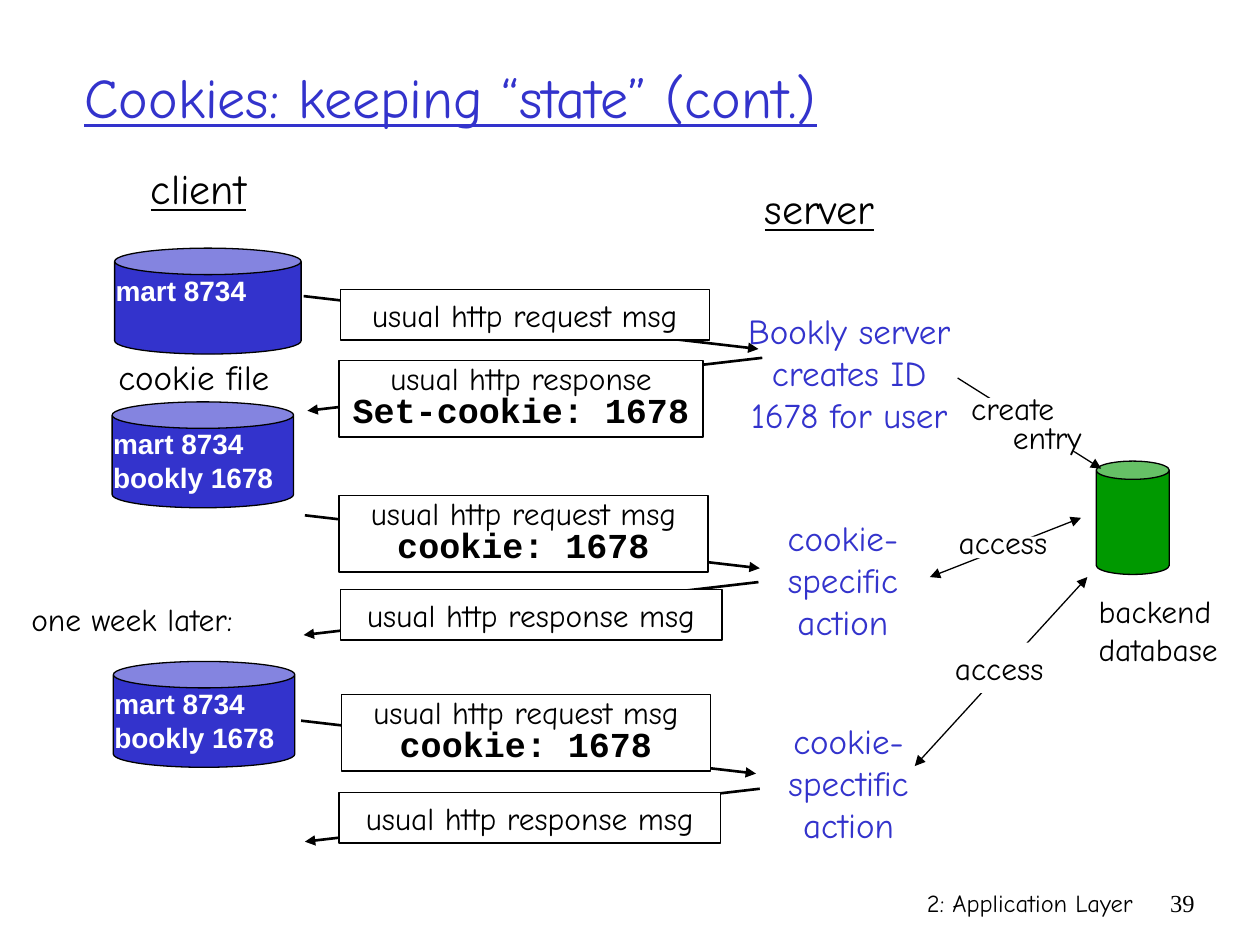
from pptx import Presentation
from pptx.dml.color import RGBColor
from pptx.enum.shapes import MSO_CONNECTOR, MSO_SHAPE
from pptx.enum.text import MSO_ANCHOR, MSO_AUTO_SIZE, PP_ALIGN
from pptx.oxml.ns import qn
from pptx.util import Inches, Pt
from lxml.etree import SubElement

HAND, CODE, LABEL = "Comic Neue", "Courier New", "Arial"
BLACK, WHITE, BLUE, GREEN = "000000", "FFFFFF", "3333CC", "009900"
LEFT, CENTER, RIGHT = PP_ALIGN.LEFT, PP_ALIGN.CENTER, PP_ALIGN.RIGHT
color = RGBColor.from_string

presentation = Presentation()
presentation.slide_width, presentation.slide_height = Inches(10), Inches(7.5)
slide = presentation.slides.add_slide(presentation.slide_layouts[5])
COLUMN = presentation.slide_width / 100
ROW = presentation.slide_height / 75


def add_block(x, y, width, height, lines=(), size=18, font=HAND, ink=BLACK, align=LEFT,
              bold=False, underline=False, spacing=None, wrap=False,
              preset=None, fill=None, outline=None):
    """Add a text box, or a preset shape; a line is a text or (text, size, font, bold)."""
    box = [int(x * COLUMN), int(y * ROW), int(width * COLUMN), int(height * ROW)]
    if preset is None:
        shape = slide.shapes.add_textbox(*box)
    else:
        shape = slide.shapes.add_shape(preset, *box)
        shape.shadow.inherit = False
    if fill:
        shape.fill.solid()
        shape.fill.fore_color.rgb = color(fill)
    if outline:
        shape.line.color.rgb = color(outline)
        shape.line.width = Pt(0.75)
    else:
        shape.line.fill.background()
    frame = shape.text_frame
    frame.word_wrap = wrap
    frame.vertical_anchor = MSO_ANCHOR.TOP
    if lines and not wrap:
        frame.auto_size = MSO_AUTO_SIZE.SHAPE_TO_FIT_TEXT
    for index, line in enumerate(lines):
        text, line_size, line_font, line_bold = (
            (line, size, font, bold) if isinstance(line, str) else line)
        paragraph = frame.add_paragraph() if index else frame.paragraphs[0]
        paragraph.alignment = align
        paragraph.line_spacing = spacing
        run = paragraph.add_run()
        run.text = text
        run.font.name, run.font.size = line_font, Pt(line_size)
        run.font.bold, run.font.underline = line_bold, underline
        run.font.color.rgb = color(ink)
    return shape


def add_arrow(x1, y1, x2, y2, width=1.5, ends=("tailEnd",)):
    arrow = slide.shapes.add_connector(
        MSO_CONNECTOR.STRAIGHT, int(x1 * COLUMN), int(y1 * ROW), int(x2 * COLUMN), int(y2 * ROW))
    arrow.line.color.rgb = color(BLACK)
    arrow.line.width = Pt(width)
    for end in ends:
        SubElement(arrow.line._get_or_add_ln(), qn("a:" + end), type="triangle")
    SubElement(arrow._element.spPr, qn("a:effectLst"))


# Title, column headings and footer
title = slide.shapes.title
title.left, title.top = int(5.7 * COLUMN), int(1.4 * ROW)
title.width, title.height = int(85 * COLUMN), int(12.5 * ROW)
title.text_frame.auto_size = MSO_AUTO_SIZE.NONE
title.text_frame.vertical_anchor = MSO_ANCHOR.MIDDLE
heading = title.text_frame.paragraphs[0]
heading.alignment = LEFT
run = heading.add_run()
run.text = "Cookies: keeping “state” (cont.)"
run.font.name, run.font.size, run.font.underline = HAND, Pt(32), True
run.font.color.rgb = color(BLUE)

add_block(10.8, 12.4, 9.9, 5, ["client"], 24, align=CENTER, underline=True)
add_block(59.6, 14, 10.9, 5, ["server"], 24, align=CENTER, underline=True)
add_block(59.2, 70, 31.7, 5, ["2: Application Layer"], 14, align=RIGHT, wrap=True)
add_block(90.8, 70, 5, 5, ["39"], 14, "Times New Roman", align=RIGHT, wrap=True)

# Messages: every arrow spans the same run and falls by the same amount
RUN, FALL = 36.1, 4.2
request, response = "usual http request msg", "usual http response msg"
set_cookie = ("Set-cookie: 1678", 20, CODE, True)
send_cookie = ("cookie: 1678", 20, CODE, True)
messages = [  # arrow start, direction, box, lines
    (24.1, 23.5, 1, (27, 23, 29.3), [request]),
    (60.5, 28.4, -1, (26.9, 28.6, 28.9), ["usual http response", set_cookie]),
    (24.2, 40.9, 1, (26.9, 39.3, 29.3), [request, send_cookie]),
    (60.2, 46.2, -1, (27, 46.8, 30.3), [response]),
    (23.9, 57.2, 1, (27.1, 55.1, 29.3), [request, send_cookie]),
    (60.3, 62.6, -1, (26.9, 62.9, 30.3), [response]),
]
for x, y, direction, box, lines in messages:
    add_arrow(x, y, x + direction * RUN, y + FALL)
for x, y, direction, (left, top, width), lines in messages:
    double = len(lines) == 2
    add_block(left, top, width, 6.1 if double else 4, lines, align=CENTER, wrap=True,
              spacing=0.8 if double else None,
              preset=MSO_SHAPE.RECTANGLE, fill=WHITE, outline=BLACK)

# Client cookie files
for x, y, width, entries in [
    (9.1, 19.7, 14.8, ["mart 8734"]),
    (8.9, 31.9, 14.4, ["mart 8734", "bookly 1678"]),
    (9, 52.5, 14.4, ["mart 8734", "bookly 1678"]),
]:
    add_block(x, y, width, 8.4, preset=MSO_SHAPE.CAN, fill=BLUE, outline=BLACK)
    add_block(x - 0.9, y + 1.5, 17.4, 6.4, entries, 16, LABEL, WHITE, bold=True, wrap=True)
add_block(8.4, 27.7, 19.5, 4.4, ["cookie file"], 20, wrap=True)
add_block(1.5, 47.1, 18.1, 4, ["one week later:"])

# Server actions
for x, y, width, lines in [
    (57.5, 24.1, 19.8, ["Bookly server", "creates ID", "1678 for user"]),
    (61.3, 40.5, 11.2, ["cookie-", "specific", "action"]),
    (61.3, 56.6, 12.1, ["cookie-", "spectific", "action"]),
]:
    add_block(x, y, width, 11, lines, 20, ink=BLUE, align=CENTER)

# Backend database and its links, with white patches behind the link labels
add_block(87, 36.6, 5.8, 9, preset=MSO_SHAPE.CAN, fill=GREEN, outline=BLACK)
add_arrow(76, 30, 87.4, 37.2, 0.75)
for link in [(73.8, 45.8, 85.8, 41.1), (72.6, 60.8, 86.3, 45.8)]:
    add_arrow(*link, 0.75, ("headEnd", "tailEnd"))
for patch in [(77.6, 31.6, 10.5, 4.2), (76.5, 42.6, 6.7, 1.7)]:
    add_block(*patch, preset=MSO_SHAPE.RECTANGLE, fill=WHITE)
entry_label = add_block(76.1, 31.1, 12.8, 5.5, ["create", "entry"], spacing=0.75, wrap=True)
entry_label.text_frame.paragraphs[1]._p.get_or_add_pPr().set("marL", str(int(3.3 * COLUMN)))
add_block(75.1, 41, 9, 4, ["access"])
add_block(74.8, 51, 9, 4, ["access"], preset=MSO_SHAPE.RECTANGLE, fill=WHITE)
add_block(86.2, 46.5, 11.5, 7, ["backend", "database"], preset=MSO_SHAPE.RECTANGLE, fill=WHITE)

presentation.save("out.pptx")
